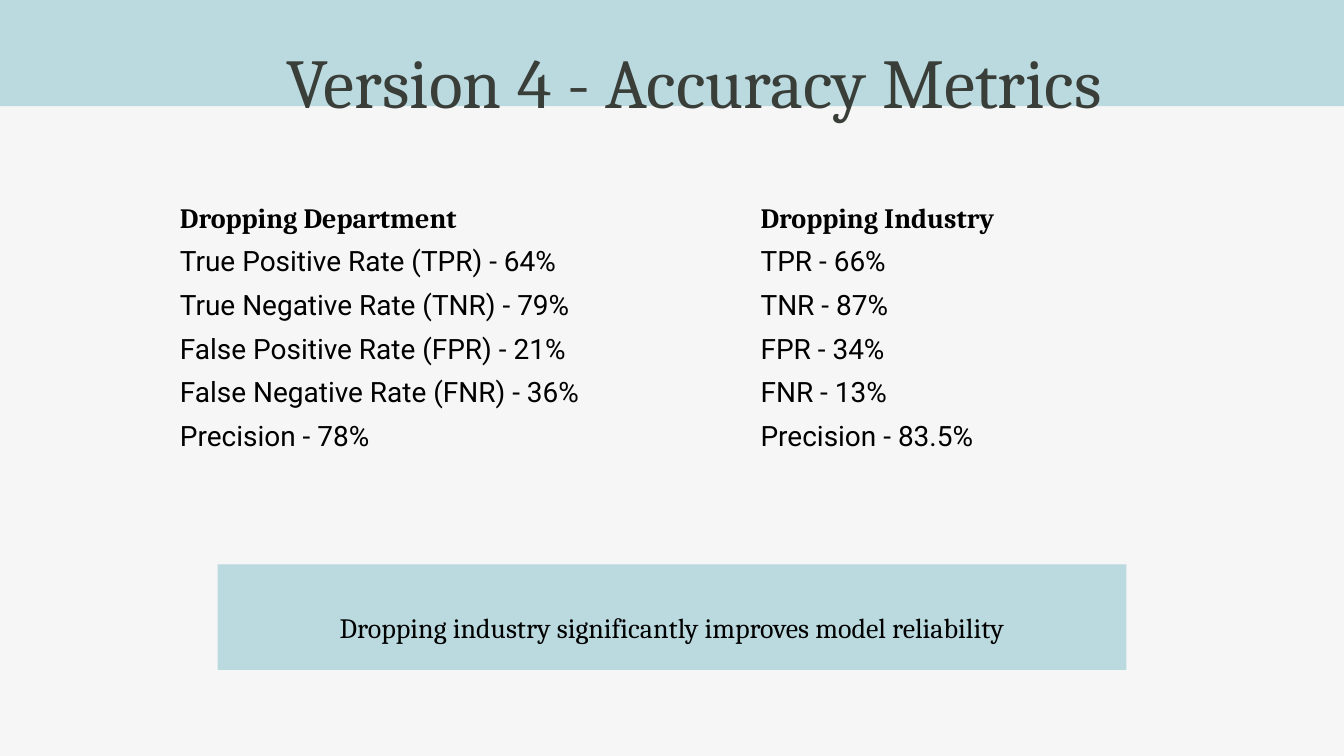
from dataclasses import dataclass

from pptx import Presentation
from pptx import util as u
from pptx.dml.color import RGBColor
from pptx.enum import shapes, text

PX = 9144
SERIF, SANS = "Cambria", "Roboto"
AQUA, PAPER, SLATE, BLACK = "BBDAE0", "F6F6F6", "3A3E39", "000000"


@dataclass
class Box:
    x: int
    y: int
    w: int
    h: int

    def emu(self) -> list[u.Emu]:
        return [u.Emu(n * PX) for n in (self.x, self.y, self.w, self.h)]


@dataclass
class Line:
    words: str
    size: int = 30
    font: str = SERIF
    color: str = BLACK
    bold: bool = False


@dataclass
class Metrics:
    box: Box
    heading: str
    rates: list[str]


COLUMNS = [
    Metrics(Box(258, 273, 676, 399), "Dropping Department", [
        "True Positive Rate (TPR) - 64%",
        "True Negative Rate (TNR) - 79%",
        "False Positive Rate (FPR) - 21%",
        "False Negative Rate (FNR) - 36%",
        "Precision - 78%",
    ]),
    Metrics(Box(1122, 273, 519, 399), "Dropping Industry", [
        "TPR - 66%",
        "TNR - 87%",
        "FPR - 34%",
        "FNR - 13%",
        "Precision - 83.5%",
    ]),
]


def rgb(color: str) -> RGBColor:
    return RGBColor.from_string(color)


def add_band(s, box: Box) -> None:
    sp = s.shapes.add_shape(shapes.MSO_SHAPE.RECTANGLE, *box.emu())
    sp.shadow.inherit = False
    sp.fill.solid()
    sp.fill.fore_color.rgb = rgb(AQUA)
    sp.line.fill.background()


def add_text(s, box: Box, lines: list[Line], inset: int = 10,
             spacing: float = 1.3, align=text.PP_ALIGN.LEFT) -> None:
    tf = s.shapes.add_textbox(*box.emu()).text_frame
    tf.word_wrap = True
    tf.auto_size = text.MSO_AUTO_SIZE.SHAPE_TO_FIT_TEXT
    tf.margin_left = tf.margin_top = tf.margin_right = tf.margin_bottom = u.Emu(inset * PX)
    for i, line in enumerate(lines):
        p = tf.add_paragraph() if i else tf.paragraphs[0]
        p.text = line.words
        p.alignment = align
        p.line_spacing = spacing
        p.font.name = line.font
        p.font.size = u.Pt(line.size)
        p.font.bold = line.bold
        p.font.color.rgb = rgb(line.color)


def main() -> None:
    """Build the accuracy metrics slide."""
    prs = Presentation()
    prs.slide_width, prs.slide_height = u.Emu(2000 * PX), u.Emu(1125 * PX)
    s = prs.slides.add_slide(prs.slide_layouts[6])
    s.background.fill.solid()
    s.background.fill.fore_color.rgb = rgb(PAPER)

    add_band(s, Box(0, -20, 2000, 178))
    add_text(s, Box(-46, 32, 2158, 126),
             [Line("Version 4 - Accuracy Metrics", size=75, color=SLATE)],
             inset=0, spacing=1.2, align=text.PP_ALIGN.CENTER)

    for col in COLUMNS:
        rates = [Line(rate, font=SANS) for rate in col.rates]
        add_text(s, col.box, [Line(col.heading, bold=True), *rates])

    add_band(s, Box(324, 840, 1352, 157))
    add_text(s, Box(413, 883, 1174, 71),
             [Line("Dropping industry significantly improves model reliability")],
             align=text.PP_ALIGN.CENTER)
    prs.save("out.pptx")


if __name__ == "__main__":
    main()
